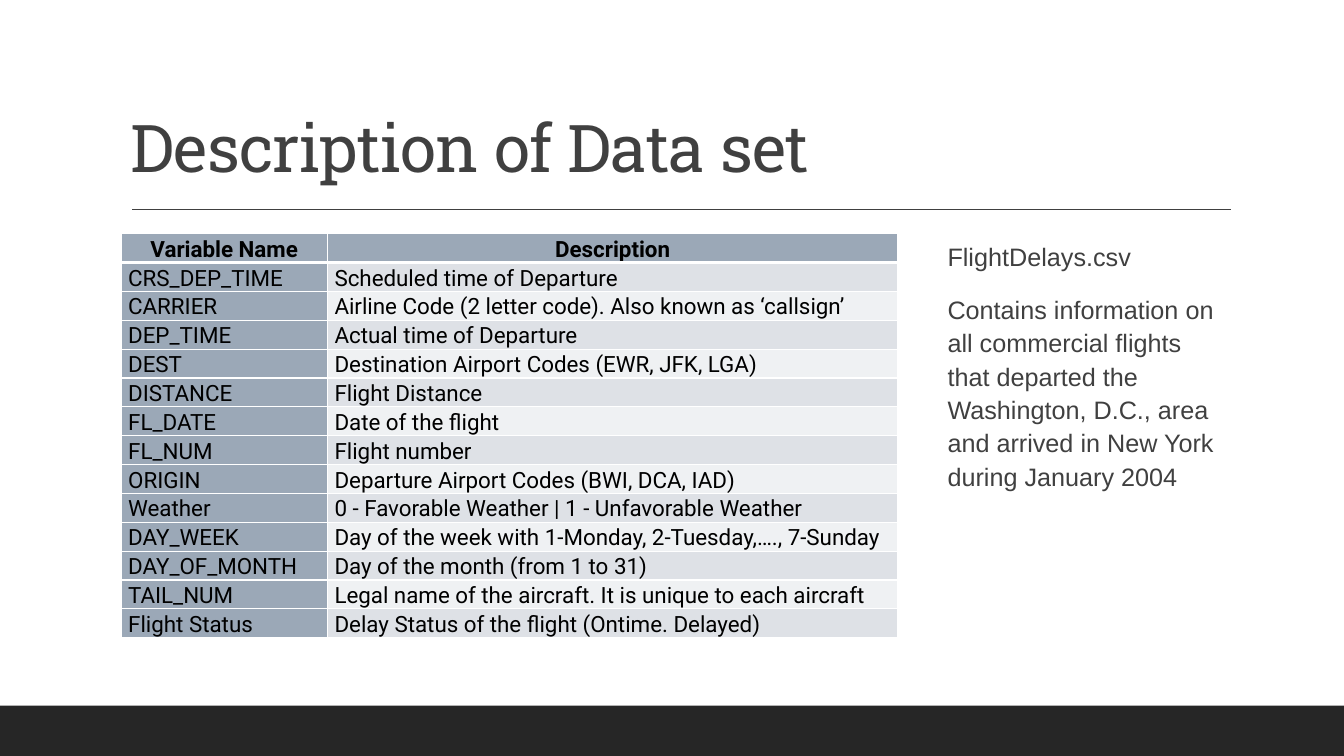
import pptx
import pptx.util
import pptx.dml.color
import pptx.enum.shapes
import pptx.enum.text
import pptx.oxml.ns
from dataclasses import dataclass
from lxml import etree

Cm = pptx.util.Cm
Pt = pptx.util.Pt
Align = pptx.enum.text.PP_ALIGN
Anchor = pptx.enum.text.MSO_ANCHOR
qn = pptx.oxml.ns.qn


@dataclass(frozen=True)
class Theme:
    ink: str = "404040"
    footer: str = "262626"
    table_text: str = "000000"
    key_fill: str = "9BA8B7"
    bands: tuple = ("DEE1E6", "EFF1F3")
    border: str = "FFFFFF"
    title_font: str = "Roboto Slab"
    table_font: str = "Roboto"
    body_font: str = "Arial"
    title_size: int = 47
    table_size: int = 16
    body_size: int = 18


THEME = Theme()

HEADER = ("Variable Name", "Description")
VARIABLES = [
    ("CRS_DEP_TIME", "Scheduled time of Departure"),
    ("CARRIER", "Airline Code (2 letter code). Also known as ‘callsign’"),
    ("DEP_TIME", "Actual time of Departure"),
    ("DEST", "Destination Airport Codes (EWR, JFK, LGA)"),
    ("DISTANCE", "Flight Distance"),
    ("FL_DATE", "Date of the flight"),
    ("FL_NUM", "Flight number"),
    ("ORIGIN", "Departure Airport Codes (BWI, DCA, IAD)"),
    ("Weather", "0 - Favorable Weather | 1 - Unfavorable Weather"),
    ("DAY_WEEK", "Day of the week with 1-Monday, 2-Tuesday,…., 7-Sunday"),
    ("DAY_OF_MONTH", "Day of the month (from 1 to 31)"),
    ("TAIL_NUM", "Legal name of the aircraft. It is unique to each aircraft"),
    ("Flight Status", "Delay Status of the flight (Ontime. Delayed)"),
]
SUMMARY = [
    "FlightDelays.csv",
    "Contains information on all commercial flights that departed the "
    "Washington, D.C., area and arrived in New York during January 2004",
]


def rgb(value):
    return pptx.dml.color.RGBColor.from_string(value)


def add_run(paragraph, text, font, size, color, bold=False):
    run = paragraph.add_run()
    run.text = text
    run.font.name = font
    run.font.size = Pt(size)
    run.font.bold = bold
    run.font.color.rgb = rgb(color)
    return run


def add_footer_bar(slide, left, top, width, height):
    bar = slide.shapes.add_shape(
        pptx.enum.shapes.MSO_SHAPE.RECTANGLE, Cm(left), Cm(top), Cm(width), Cm(height))
    bar.shadow.inherit = False
    bar.fill.solid()
    bar.fill.fore_color.rgb = rgb(THEME.footer)
    bar.line.fill.background()


def add_title(slide, left, top, width, height):
    # Heading, resting on the bottom of its box
    heading = slide.shapes.add_textbox(Cm(left), Cm(top), Cm(width), Cm(height))
    frame = heading.text_frame
    frame.word_wrap = True
    frame.vertical_anchor = Anchor.BOTTOM
    paragraph = frame.paragraphs[0]
    paragraph.line_spacing = 0.9
    run = add_run(paragraph, "Description of Data set",
                  THEME.title_font, THEME.title_size, THEME.ink)
    run.font._element.set("spc", "-50")

    # Rule below the heading
    rule_left, rule_top = left + 0.28, top + height + 0.45
    rule = slide.shapes.add_connector(
        pptx.enum.shapes.MSO_CONNECTOR.STRAIGHT,
        Cm(rule_left), Cm(rule_top), Cm(rule_left + 27.69), Cm(rule_top))
    rule.line.color.rgb = rgb(THEME.ink)
    rule.line.width = Pt(1)
    etree.SubElement(rule._element.spPr, qn("a:effectLst"))


def set_borders(cell, **widths):
    properties = cell._tc.get_or_add_tcPr()
    for side in "LRTB":
        line = etree.SubElement(properties, qn(f"a:ln{side}"), w=str(Pt(widths.get(side, 1))))
        fill = etree.SubElement(line, qn("a:solidFill"))
        etree.SubElement(fill, qn("a:srgbClr"), val=THEME.border)


def add_variable_table(slide, left, top, width, height):
    rows = [HEADER, *VARIABLES]
    table = slide.shapes.add_table(
        len(rows), len(HEADER), Cm(left), Cm(top), Cm(width), Cm(height)).table
    name_width = 5.2
    table.columns[0].width = Cm(name_width)
    table.columns[1].width = Cm(width - name_width)

    for row_index, row in enumerate(rows):
        table.rows[row_index].height = Cm(height / len(rows))
        is_header = row_index == 0
        for column_index, text in enumerate(row):
            cell = table.cell(row_index, column_index)
            cell.vertical_anchor = Anchor.BOTTOM
            cell.margin_left = cell.margin_right = Cm(0.18)
            cell.margin_top = cell.margin_bottom = 0

            # The header is set off by a thicker edge
            set_borders(cell, B=3 if is_header else 1, T=3 if row_index == 1 else 1)
            is_key = is_header or column_index == 0
            cell.fill.solid()
            cell.fill.fore_color.rgb = rgb(
                THEME.key_fill if is_key else THEME.bands[(row_index - 1) % 2])

            paragraph = cell.text_frame.paragraphs[0]
            paragraph.alignment = Align.CENTER if is_header else Align.LEFT
            paragraph.line_spacing = 1.07
            add_run(paragraph, text, THEME.table_font, THEME.table_size,
                    THEME.table_text, bold=is_header)


def add_summary(slide, left, top, width, height):
    summary = slide.shapes.add_textbox(Cm(left), Cm(top), Cm(width), Cm(height))
    frame = summary.text_frame
    frame.word_wrap = True
    frame.margin_left = frame.margin_right = 0
    for index, text in enumerate(SUMMARY):
        paragraph = frame.add_paragraph() if index else frame.paragraphs[0]
        paragraph.line_spacing = 1.1
        paragraph.space_before = Pt(12)
        paragraph.space_after = Pt(2)
        add_run(paragraph, text, THEME.body_font, THEME.body_size, THEME.ink)


def main():
    deck = pptx.Presentation()
    deck.slide_width, deck.slide_height = Cm(33.87), Cm(19.05)
    slide = deck.slides.add_slide(deck.slide_layouts[6])

    add_footer_bar(slide, 0, 17.78, 33.87, 1.27)
    add_title(slide, 3.05, 0.79, 27.94, 4.04)
    add_variable_table(slide, 3.05, 5.89, 19.58, 10.19)
    add_summary(slide, 23.88, 5.89, 7.11, 10.41)

    deck.save("out.pptx")


if __name__ == "__main__":
    main()
